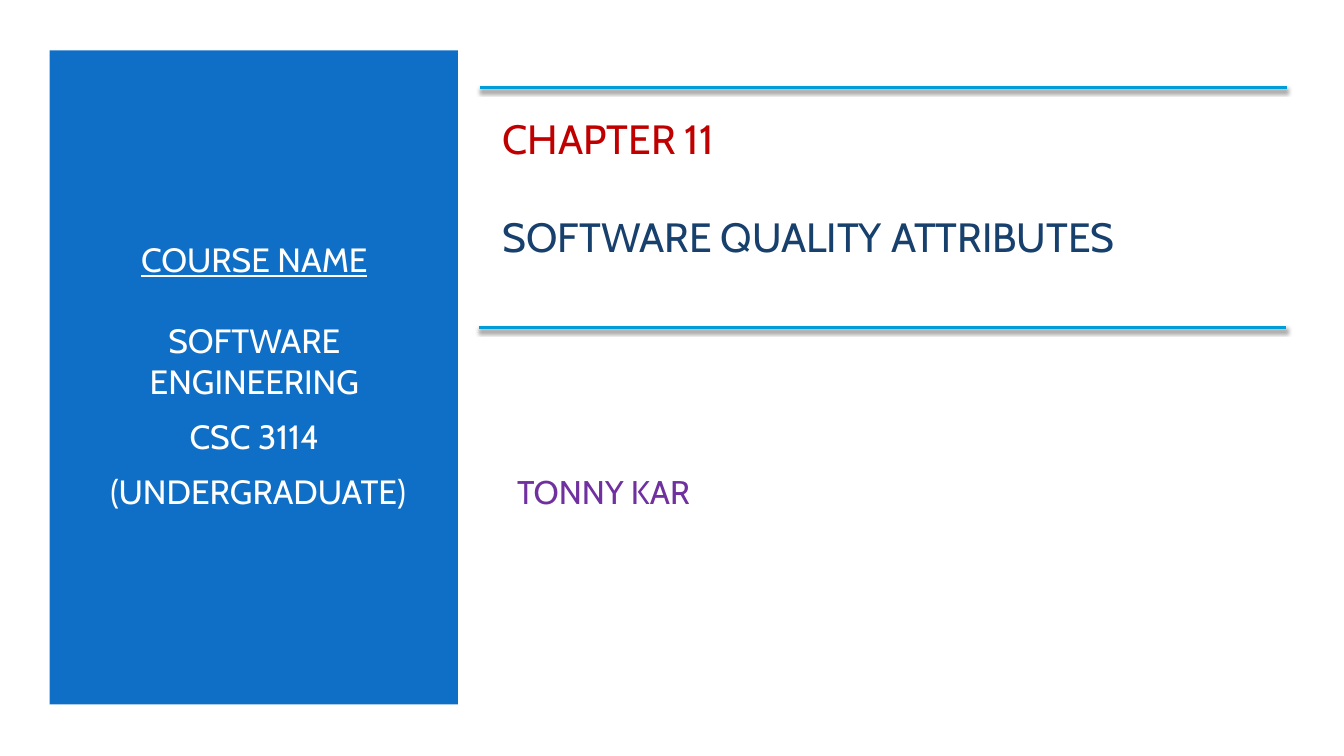
from dataclasses import dataclass

from lxml import etree
from pptx import Presentation
from pptx import util as u
from pptx.dml.color import RGBColor
from pptx.enum import shapes, text
from pptx.oxml import ns


@dataclass(frozen=True)
class Theme:
    font: str = "Cabin"
    panel: str = "0F6FC6"
    rule: str = "009DD9"
    white: str = "FFFFFF"
    red: str = "C00000"
    navy: str = "17406D"
    purple: str = "7030A0"
    shade: str = "000000"
    course: float = 24
    title: float = 29.2
    author: float = 23.4


THEME = Theme()


def add_panel(slide, left, top, width, height):
    panel = slide.shapes.add_shape(
        shapes.MSO_SHAPE.RECTANGLE, u.Cm(left), u.Cm(top), u.Cm(width), u.Cm(height))
    panel.shadow.inherit = False
    panel.fill.solid()
    panel.fill.fore_color.rgb = RGBColor.from_string(THEME.panel)
    panel.line.fill.background()


def add_rule(slide, left, top, width):
    rule = slide.shapes.add_connector(
        shapes.MSO_CONNECTOR.STRAIGHT,
        u.Cm(left), u.Cm(top), u.Cm(left + width), u.Cm(top))
    rule.line.color.rgb = RGBColor.from_string(THEME.rule)
    rule.line.width = u.Pt(2)
    effects = etree.SubElement(rule._element.spPr, ns.qn("a:effectLst"))
    shadow = etree.SubElement(
        effects, ns.qn("a:outerShdw"), blurRad=str(u.Pt(3)), dist=str(u.Pt(2)),
        dir="5400000", rotWithShape="0")
    color = etree.SubElement(shadow, ns.qn("a:srgbClr"), val=THEME.shade)
    etree.SubElement(color, ns.qn("a:alpha"), val="55000")


def add_text(slide, left, top, width, height, size, lines, align=text.PP_ALIGN.LEFT):
    box = slide.shapes.add_textbox(u.Cm(left), u.Cm(top), u.Cm(width), u.Cm(height))
    frame = box.text_frame
    frame.word_wrap = True
    frame.vertical_anchor = text.MSO_ANCHOR.MIDDLE
    for index, (words, color, before, under) in enumerate(lines):
        para = frame.add_paragraph() if index else frame.paragraphs[0]
        para.text = words
        para.alignment = align
        if before:
            para.space_before = u.Pt(before)
        para.font.name = THEME.font
        para.font.size = u.Pt(size)
        para.font.color.rgb = RGBColor.from_string(color)
        para.font.underline = under


def main():
    deck = Presentation()
    deck.slide_width, deck.slide_height = u.Cm(33.87), u.Cm(19.05)
    slide = deck.slides.add_slide(deck.slide_layouts[6])

    add_panel(slide, 1.25, 1.27, 10.29, 16.48)
    add_text(slide, 2.13, 2.79, 8.56, 13.34, THEME.course, [
        ("COURSE NAME", THEME.white, 0, True),
        ("SOFTWARE ENGINEERING", THEME.white, 29, False),
        ("CSC 3114", THEME.white, 10.8, False),
        (" (UNDERGRADUATE)", THEME.white, 10.8, False),
    ], text.PP_ALIGN.CENTER)
    add_text(slide, 12.42, 2.79, 19.94, 3.84, THEME.title, [
        ("CHAPTER 11", THEME.red, 0, False),
        ("SOFTWARE QUALITY ATTRIBUTES", THEME.navy, 35, False),
    ])
    add_text(slide, 12.78, 10.41, 16.92, 3.96, THEME.author, [
        ("TONNY KAR", THEME.purple, 0, False),
    ])
    for left, top in ((12.09, 2.21), (12.07, 8.26)):
        add_rule(slide, left, top, 20.35)

    deck.save("out.pptx")


if __name__ == "__main__":
    main()
